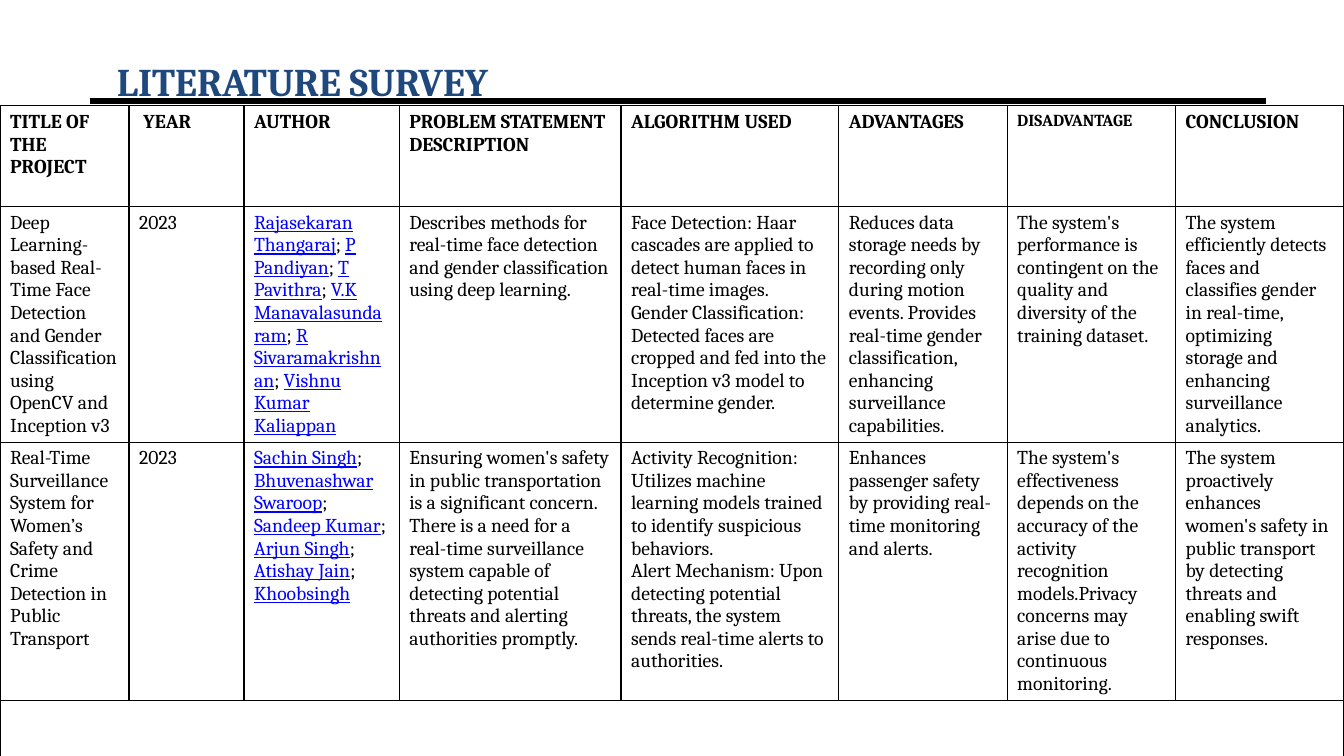
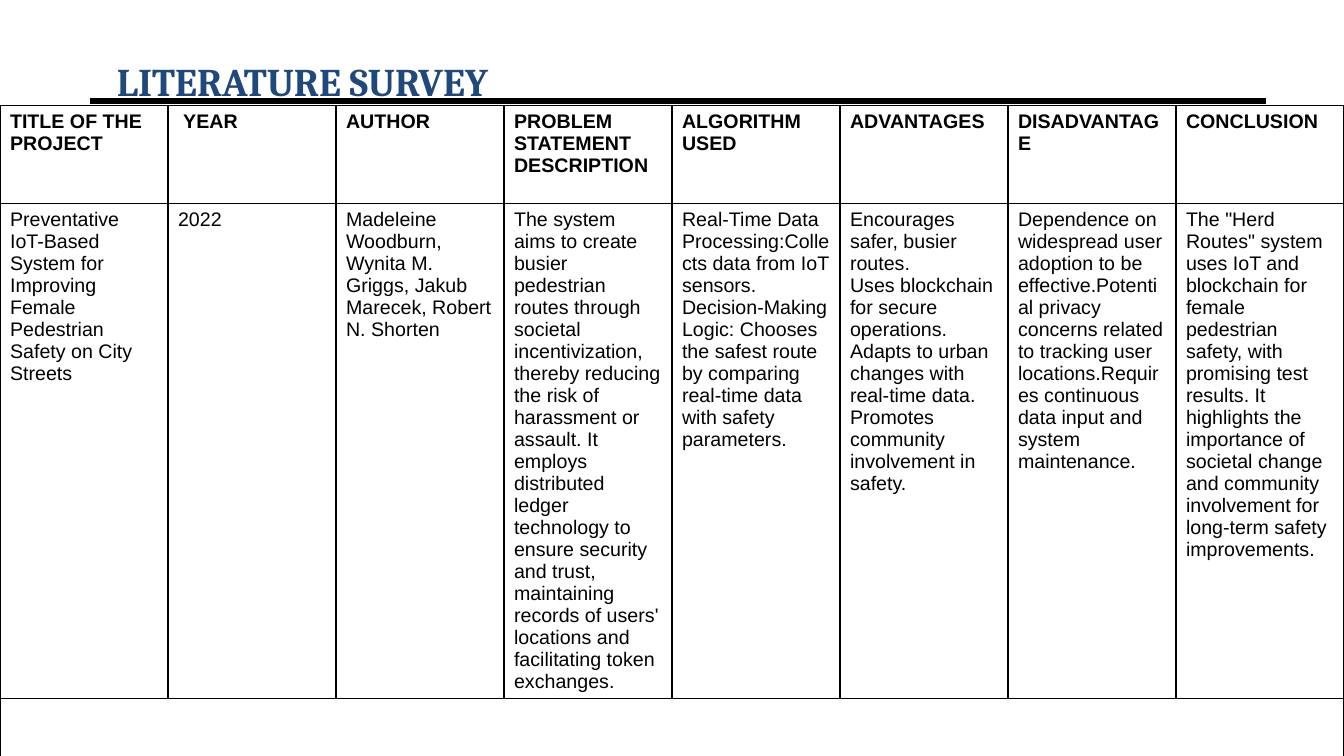
from pptx import Presentation
from pptx.dml.color import RGBColor
from pptx.enum.shapes import MSO_CONNECTOR
from pptx.enum.text import MSO_ANCHOR, MSO_AUTO_SIZE, PP_ALIGN
from pptx.oxml.ns import qn
from pptx.util import Inches, Pt
from lxml.etree import SubElement

COLORS = {"ink": "000000", "heading": "1F497D", "author": "0000FF", "paper": "FFFFFF"}
SLIDE_W, SLIDE_H = 13.33, 7.5
TABLE_TOP = 1.05
HEADING = "LITERATURE SURVEY"
AUTHOR_GAP = "; "

HEADERS = ["TITLE OF THE PROJECT", " YEAR", "AUTHOR", "PROBLEM STATEMENT DESCRIPTION",
           "ALGORITHM USED", "ADVANTAGES", "DISADVANTAGE", "CONCLUSION"]

SURVEYS = [
    {
        "font": "Cambria",
        "header_sizes": {"DISADVANTAGE": 12},
        "widths": [1.28, 1.14, 1.54, 2.2, 2.16, 1.67, 1.67, 1.67],
        "heights": [1, 2.33, 2.56],
        "papers": [
            [
                "Deep Learning-based Real-Time Face Detection and Gender Classification "
                "using OpenCV and Inception v3",
                "2023",
                ("Rajasekaran Thangaraj", "P Pandiyan", "T Pavithra", "V.K Manavalasundaram",
                 "R Sivaramakrishnan", "Vishnu Kumar Kaliappan"),
                "Describes methods for real-time face detection and gender classification "
                "using deep learning.",
                ["Face Detection: Haar cascades are applied to detect human faces in "
                 "real-time images.",
                 "Gender Classification: Detected faces are cropped and fed into the "
                 "Inception v3 model to determine gender."],
                "Reduces data storage needs by recording only during motion events. Provides "
                "real-time gender classification, enhancing surveillance capabilities.",
                "The system's performance is contingent on the quality and diversity of the "
                "training dataset.",
                "The system efficiently detects faces and classifies gender in real-time, "
                "optimizing storage and enhancing surveillance analytics.",
            ],
            [
                "Real-Time Surveillance System for Women’s Safety and Crime Detection in "
                "Public Transport",
                "2023",
                ("Sachin Singh", "Bhuvenashwar Swaroop", "Sandeep Kumar", "Arjun Singh",
                 "Atishay Jain", "Khoobsingh"),
                "Ensuring women's safety in public transportation is a significant concern. "
                "There is a need for a real-time surveillance system capable of detecting "
                "potential threats and alerting authorities promptly.",
                ["Activity Recognition: Utilizes machine learning models trained to identify "
                 "suspicious behaviors.",
                 "Alert Mechanism: Upon detecting potential threats, the system sends "
                 "real-time alerts to authorities."],
                "Enhances passenger safety by providing real-time monitoring and alerts.",
                "The system's effectiveness depends on the accuracy of the activity "
                "recognition models.Privacy concerns may arise due to continuous monitoring.",
                "The system proactively enhances women's safety in public transport by "
                "detecting threats and enabling swift responses.",
            ],
        ],
    },
    {
        "font": "Arial",
        "header_sizes": {},
        "widths": [SLIDE_W / len(HEADERS)] * len(HEADERS),
        "heights": [0.97, 4.91],
        "papers": [
            [
                "Preventative IoT-Based System for Improving Female Pedestrian Safety on "
                "City Streets",
                "2022",
                "Madeleine Woodburn, Wynita M. Griggs, Jakub Marecek, Robert N. Shorten",
                "The system aims to create busier pedestrian routes through societal "
                "incentivization, thereby reducing the risk of harassment or assault. It "
                "employs distributed ledger technology to ensure security and trust, "
                "maintaining records of users' locations and facilitating token exchanges.",
                ["Real-Time Data Processing:Collects data from IoT sensors.",
                 "Decision-Making Logic: Chooses the safest route by comparing real-time "
                 "data with safety parameters."],
                "Encourages safer, busier routes.\nUses blockchain for secure operations.\n"
                "Adapts to urban changes with real-time data.\n"
                "Promotes community involvement in safety.",
                "Dependence on widespread user adoption to be effective.Potential privacy "
                "concerns related to tracking user locations.Requires continuous data input "
                "and system maintenance.",
                "The \"Herd Routes\" system uses IoT and blockchain for female pedestrian "
                "safety, with promising test results. It highlights the importance of "
                "societal change and community involvement for long-term safety improvements.",
            ],
        ],
    },
]


def rgb(name):
    return RGBColor.from_string(COLORS[name])


def add_run(paragraph, text, font, size=14, color="ink", bold=False, underline=False):
    run = paragraph.add_run()
    run.text = text
    run.font.name = font
    run.font.size = Pt(size)
    run.font.bold = bold
    run.font.underline = underline
    run.font.color.rgb = rgb(color)


def prepare_layout(layout, slide):
    heading = layout.placeholders[0]
    heading.left, heading.top = Inches(0.89), Inches(0.3)
    heading.width, heading.height = Inches(11.67), Inches(0.53)
    rule = slide.shapes.add_connector(MSO_CONNECTOR.STRAIGHT, Inches(0.89), Inches(1),
                                      Inches(12.56), Inches(1))
    rule.line.color.rgb = rgb("ink")
    rule.line.width = Pt(4.5)
    SubElement(rule._element.spPr, qn("a:effectLst"))
    layout.shapes._spTree.append(rule._element)


def add_heading(slide):
    frame = slide.shapes.title.text_frame
    frame.word_wrap = True
    frame.auto_size = MSO_AUTO_SIZE.NONE
    frame.vertical_anchor = MSO_ANCHOR.MIDDLE
    paragraph = frame.paragraphs[0]
    paragraph.alignment = PP_ALIGN.LEFT
    paragraph.line_spacing = 2.0
    paragraph._p.get_or_add_pPr().set("marL", str(Inches(0.17)))
    add_run(paragraph, HEADING, "Cambria", 28, "heading", True)


def style_cell(cell, open_bottom):
    properties = cell._tc.get_or_add_tcPr()
    for side in ("lnL", "lnR", "lnT", "lnB"):
        border = SubElement(properties, qn(f"a:{side}"), w=str(Pt(1)))
        if open_bottom and side == "lnB":
            SubElement(border, qn("a:noFill"))
        else:
            fill = SubElement(border, qn("a:solidFill"))
            SubElement(fill, qn("a:srgbClr"), val=COLORS["ink"])
    cell.fill.solid()
    cell.fill.fore_color.rgb = rgb("paper")


def write_cell(cell, content, font, size=14, bold=False):
    frame = cell.text_frame
    if isinstance(content, tuple):
        for index, author in enumerate(content):
            if index:
                add_run(frame.paragraphs[0], AUTHOR_GAP, font)
            add_run(frame.paragraphs[0], author, font, color="author", underline=True)
        return
    for index, text in enumerate(content if isinstance(content, list) else [content]):
        paragraph = frame.add_paragraph() if index else frame.paragraphs[0]
        for line_index, line in enumerate(text.split("\n")):
            if line_index:
                paragraph.add_line_break()
            add_run(paragraph, line, font, size, bold=bold)


def add_survey(slide, survey):
    heights = survey["heights"] + [SLIDE_H - TABLE_TOP - sum(survey["heights"])]
    last = len(heights) - 1
    table = slide.shapes.add_table(len(heights), len(HEADERS), 0, Inches(TABLE_TOP),
                                   Inches(SLIDE_W), Inches(sum(heights))).table
    table.horz_banding = False
    for column, width in zip(table.columns, survey["widths"]):
        column.width = Inches(width)
    for index, (row, height) in enumerate(zip(table.rows, heights)):
        row.height = Inches(height)
        for cell in row.cells:
            style_cell(cell, index == last)
    for column, header in enumerate(HEADERS):
        size = survey["header_sizes"].get(header, 14)
        write_cell(table.cell(0, column), header, survey["font"], size, True)
    for index, paper in enumerate(survey["papers"], 1):
        for column, content in enumerate(paper):
            write_cell(table.cell(index, column), content, survey["font"])
    table.cell(last, 0).merge(table.cell(last, len(HEADERS) - 1))


def main():
    deck = Presentation()
    deck.slide_width, deck.slide_height = Inches(SLIDE_W), Inches(SLIDE_H)
    layout = deck.slide_layouts[5]
    for index, survey in enumerate(SURVEYS):
        slide = deck.slides.add_slide(layout)
        if index == 0:
            prepare_layout(layout, slide)
        add_heading(slide)
        add_survey(slide, survey)
    deck.save("out.pptx")


if __name__ == "__main__":
    main()
